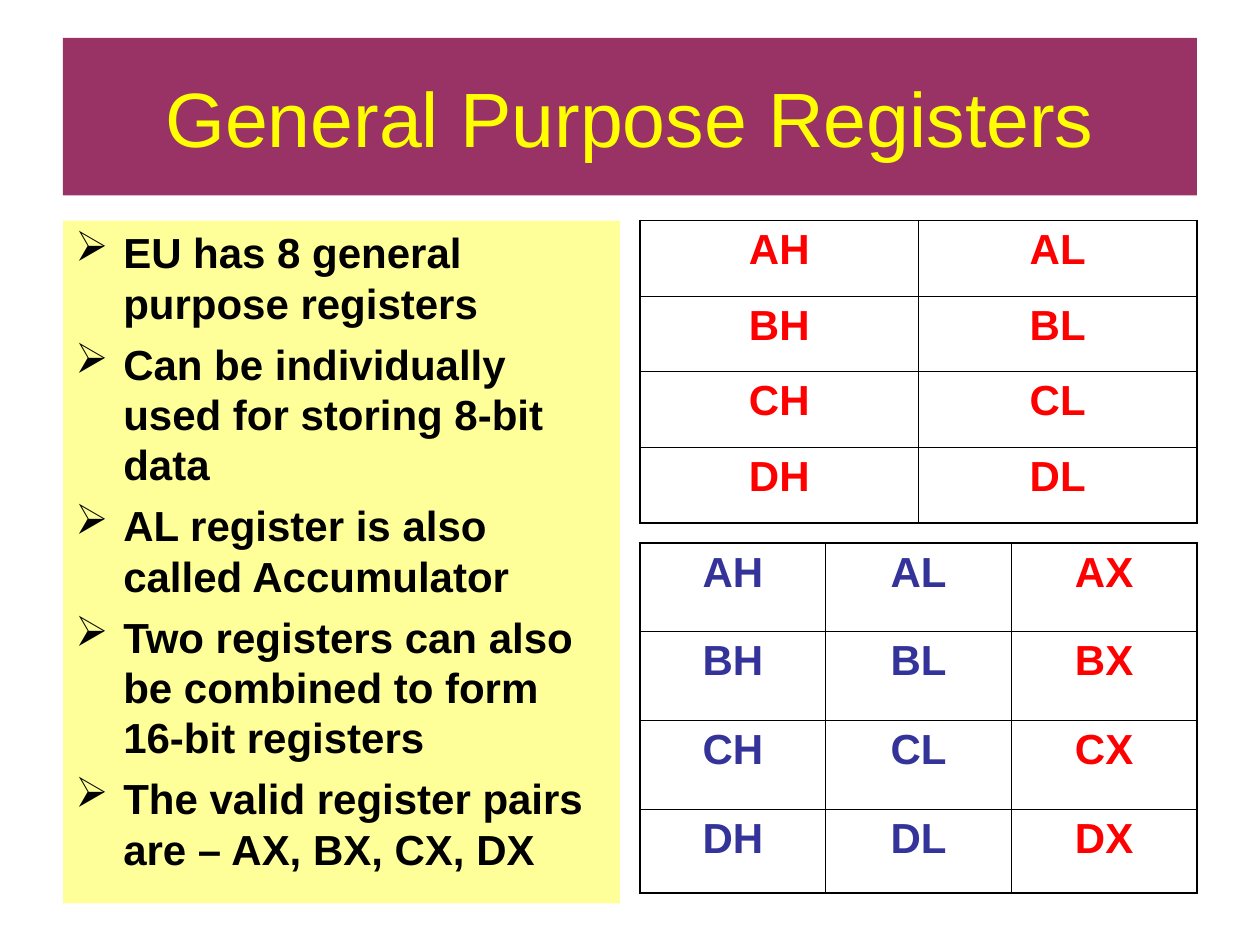
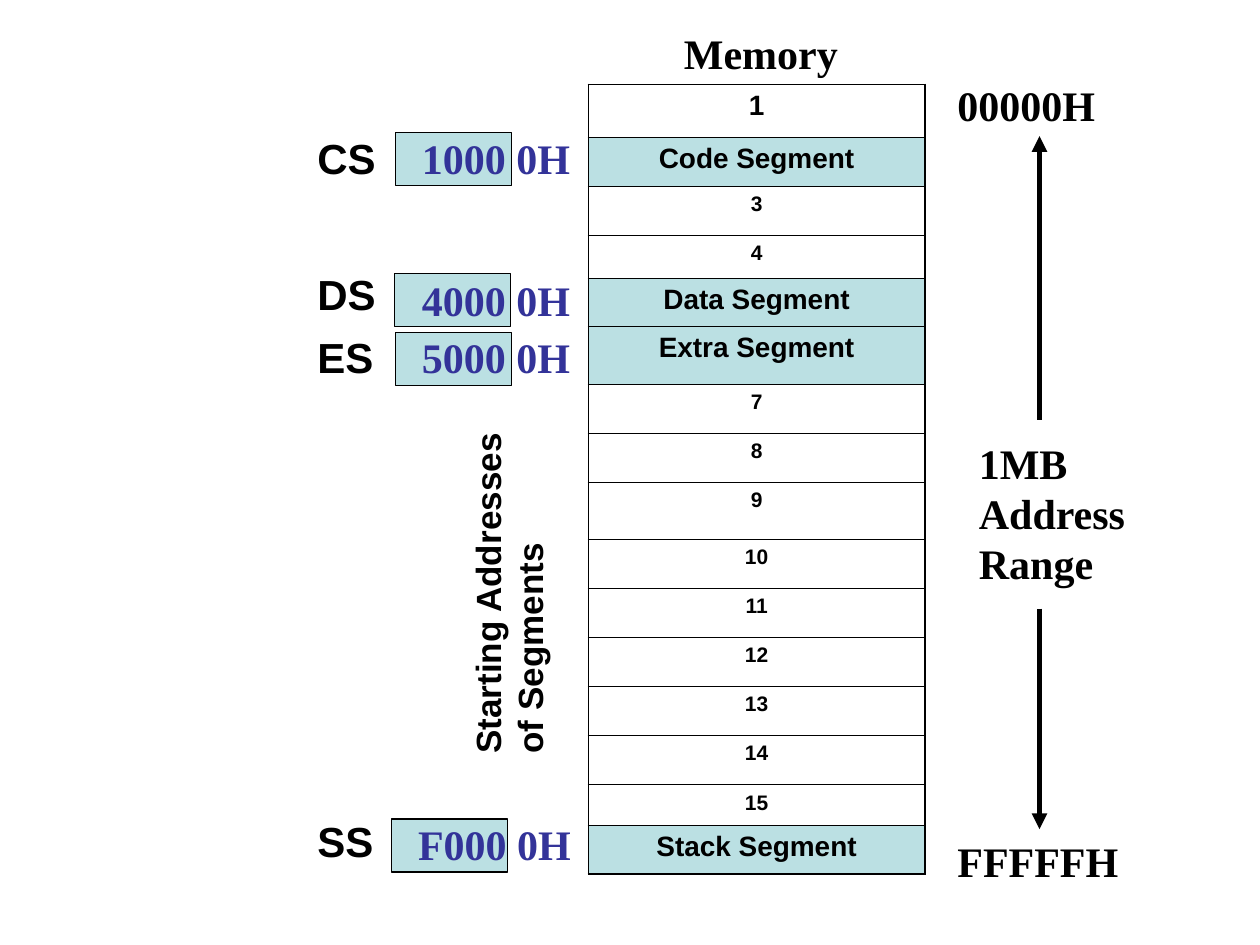
from dataclasses import dataclass

from lxml import etree
from pptx import Presentation
from pptx.dml.color import RGBColor
from pptx.enum import shapes, text
from pptx.oxml import ns
from pptx.util import Inches, Pt


@dataclass(frozen=True)
class Theme:
    black: str = "000000"
    white: str = "FFFFFF"
    plum: str = "993366"
    yellow: str = "FFFF00"
    cream: str = "FFFF99"
    red: str = "FF0000"
    indigo: str = "333399"
    aqua: str = "BBE0E3"
    sans: str = "Arial"
    serif: str = "Times New Roman"
    title: int = 44
    body: int = 24
    side: int = 20
    segment: int = 16
    block: int = 12
    outer_border: float = 1.08
    inner_border: float = 0.45


class Deck:
    """Holds the theme and draws on the current slide."""

    def __init__(self, theme):
        self.theme = theme
        self.prs = Presentation()
        self.prs.slide_width, self.prs.slide_height = Inches(10), Inches(7.5)

    def new_slide(self):
        self.slide = self.prs.slides.add_slide(self.prs.slide_layouts[6])

    def style(self, paragraph, size, color, font=None, bold=True, align=text.PP_ALIGN.LEFT):
        paragraph.alignment = align
        paragraph.font.size = Pt(size)
        paragraph.font.name = font or self.theme.sans
        paragraph.font.bold = bold
        paragraph.font.color.rgb = RGBColor.from_string(color)

    def box(self, left, top, width, height, fill, outlined=False):
        box = self.slide.shapes.add_shape(
            shapes.MSO_SHAPE.RECTANGLE, Inches(left), Inches(top), Inches(width), Inches(height))
        box.shadow.inherit = False
        box.fill.solid()
        box.fill.fore_color.rgb = RGBColor.from_string(fill)
        if outlined:
            box.line.color.rgb = RGBColor.from_string(self.theme.black)
            box.line.width = Pt(0.75)
        else:
            box.line.fill.background()
        return box

    def title(self, words):
        band = self.box(0.5, 0.3, 9, 1.25, self.theme.plum)
        band.text_frame.text = words
        self.style(band.text_frame.paragraphs[0], self.theme.title, self.theme.yellow,
                   bold=False, align=text.PP_ALIGN.CENTER)

    def bullets(self, left, top, width, height, points):
        frame = self.box(left, top, width, height, self.theme.cream).text_frame
        frame.vertical_anchor = text.MSO_ANCHOR.TOP
        frame.text = "\n".join(points)
        for paragraph in frame.paragraphs:
            paragraph.space_before = Pt(6)
            props = paragraph._p.get_or_add_pPr()
            props.set("marL", str(Inches(0.38)))
            props.set("indent", str(-Inches(0.38)))
            etree.SubElement(props, ns.qn("a:buChar"), char="➢")
            self.style(paragraph, self.theme.body, self.theme.black)

    def label(self, left, top, width, words, height=0.5, size=None, color=None, font=None,
              rotation=0):
        label = self.slide.shapes.add_textbox(
            Inches(left), Inches(top), Inches(width), Inches(height))
        label.rotation = rotation
        label.text_frame.word_wrap = True
        label.text_frame.text = words
        self.style(label.text_frame.paragraphs[0], size or self.theme.body,
                   color or self.theme.black, font)

    def arrow(self, x, start, end):
        arrow = self.slide.shapes.add_connector(
            shapes.MSO_CONNECTOR.STRAIGHT, Inches(x), Inches(start), Inches(x), Inches(end))
        arrow.line.color.rgb = RGBColor.from_string(self.theme.black)
        arrow.line.width = Pt(3)
        etree.SubElement(arrow.line._get_or_add_ln(), ns.qn("a:tailEnd"), type="triangle")
        etree.SubElement(arrow._element.spPr, ns.qn("a:effectLst"))

    def borders(self, cell, outer_sides):
        props = cell._tc.get_or_add_tcPr()
        for position, side in enumerate("LRTB"):
            weight = self.theme.outer_border if side in outer_sides else self.theme.inner_border
            line = etree.Element(ns.qn(f"a:ln{side}"), w=str(Pt(weight)))
            fill = etree.SubElement(line, ns.qn("a:solidFill"))
            etree.SubElement(fill, ns.qn("a:srgbClr"), val=self.theme.black)
            props.insert(position, line)

    def table(self, left, top, width, heights, rows, look):
        """look(row, column, words) gives the size, text colour and fill of a cell."""
        columns = len(rows[0])
        grid = self.slide.shapes.add_table(
            len(rows), columns, Inches(left), Inches(top), Inches(width),
            Inches(sum(heights))).table
        grid.first_row = grid.horz_banding = False
        for r, (height, row) in enumerate(zip(heights, rows)):
            grid.rows[r].height = Inches(height)
            for c, words in enumerate(row):
                cell = grid.cell(r, c)
                size, color, fill = look(r, c, words)
                cell.text = words
                self.style(cell.text_frame.paragraphs[0], size, color,
                           align=text.PP_ALIGN.CENTER)
                cell.fill.solid()
                cell.fill.fore_color.rgb = RGBColor.from_string(fill)
                edges = {"L": c == 0, "R": c == columns - 1, "T": r == 0, "B": r == len(rows) - 1}
                self.borders(cell, [side for side, outer in edges.items() if outer])


def registers_slide(deck):
    theme = deck.theme
    deck.new_slide()
    deck.title("General Purpose Registers")
    deck.bullets(0.5, 1.75, 4.42, 5.42, [
        "EU has 8 general purpose registers",
        "Can be individually used for storing 8-bit data",
        "AL register is also called Accumulator",
        "Two registers can also be combined to form 16-bit registers",
        "The valid register pairs are – AX, BX, CX, DX",
    ])
    halves = [[f"{name}H", f"{name}L"] for name in "ABCD"]
    pairs = [[f"{name}{part}" for part in "HLX"] for name in "ABCD"]
    deck.table(5.08, 1.75, 4.42, [0.6] * 4, halves,
               lambda r, c, words: (theme.body, theme.red, theme.white))
    deck.table(5.08, 4.31, 4.42, [0.7, 0.71, 0.7, 0.67], pairs,
               lambda r, c, words: (theme.body, theme.red if c == 2 else theme.indigo,
                                    theme.white))


def memory_slide(deck):
    theme = deck.theme
    deck.new_slide()

    # register, label top, box left and top, address, address left and top
    segment_registers = [
        ("CS", 1, 3.14, 1.05, "1000 0H", 3.25, 1),
        ("DS", 2.08, 3.13, 2.17, "4000 0H", 3.25, 2.13),
        ("ES", 2.58, 3.14, 2.64, "5000 0H", 3.25, 2.58),
        ("SS", 6.42, 3.11, 6.5, "F000 0H", 3.22, 6.45),
    ]
    for name, name_top, box_left, box_top, address, left, top in segment_registers:
        deck.box(box_left, box_top, 0.92, 0.42, theme.aqua, outlined=True)
        deck.label(left, top, 1.6, address, color=theme.indigo, font=theme.serif)
        deck.label(2.42, name_top, 0.67, name)

    segments = {2: "Code Segment", 5: "Data Segment", 6: "Extra Segment", 16: "Stack Segment"}
    blocks = [[segments.get(number, str(number))] for number in range(1, 17)]
    heights = [0.42, 0.39, 0.39, 0.34, 0.38, 0.46, 0.39, 0.39, 0.45] + [0.39] * 5 + [0.32, 0.39]

    def block_look(row, column, words):
        is_segment = row + 1 in segments
        size = theme.segment if is_segment or row == 0 else theme.block
        return size, theme.black, theme.aqua if is_segment else theme.white

    deck.table(4.67, 0.67, 2.67, heights, blocks, block_look)

    deck.label(5.33, 0.17, 1.58, "Memory", font=theme.serif)
    deck.label(7.5, 0.58, 1.33, "00000H", font=theme.serif)
    deck.label(7.5, 6.58, 1.58, "FFFFFH", font=theme.serif)
    deck.label(7.67, 3.42, 1.42, "1MB Address Range", height=1.3, font=theme.serif)
    deck.arrow(8.25, 4.83, 6.58)
    deck.arrow(8.25, 3.33, 1.08)
    deck.label(2.62, 4.28, 2.83, "Starting Addresses of Segments", height=0.77,
               size=theme.side, rotation=270)


def main():
    deck = Deck(Theme())
    registers_slide(deck)
    memory_slide(deck)
    deck.prs.save("out.pptx")


if __name__ == "__main__":
    main()
